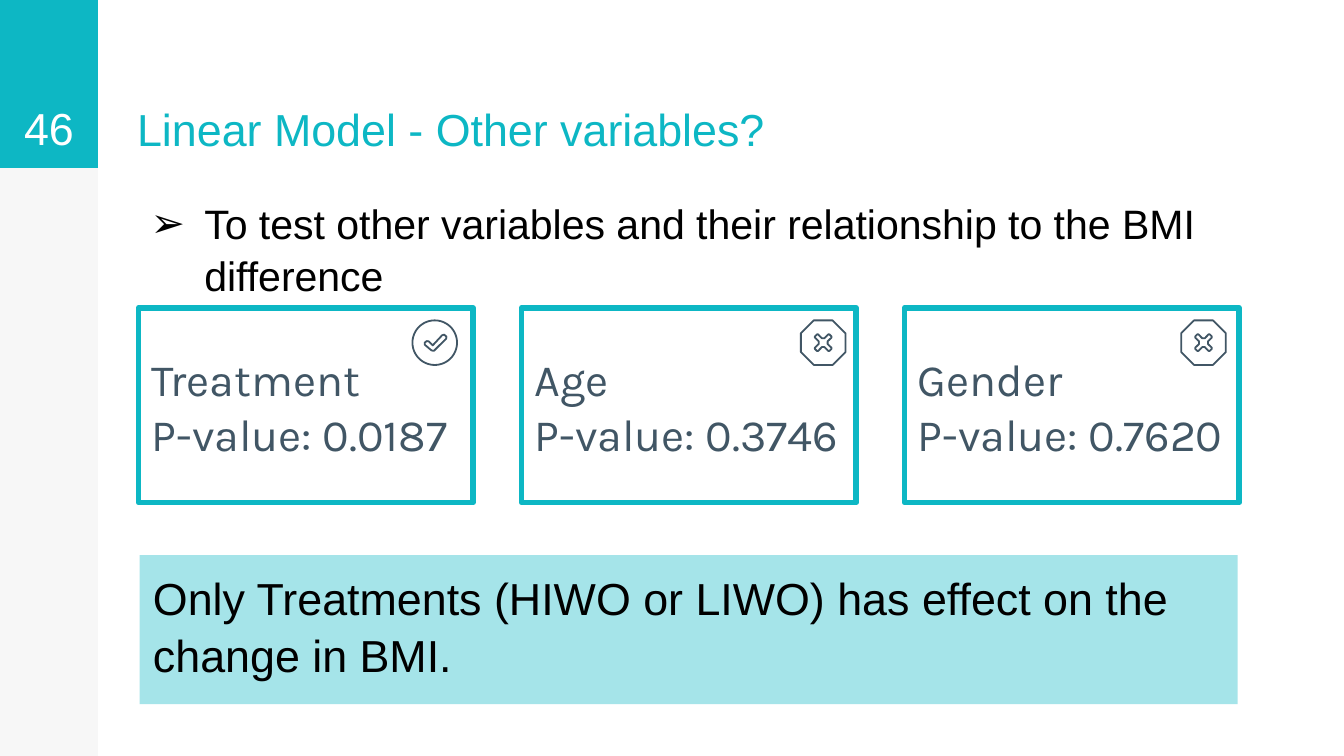
from dataclasses import dataclass
from math import cos, pi, sin

from lxml.etree import SubElement
from pptx import Presentation
from pptx.dml.color import RGBColor
from pptx.enum.shapes import MSO_SHAPE as Preset
from pptx.enum.text import MSO_ANCHOR as Anchor, MSO_AUTO_SIZE as AutoSize, PP_ALIGN as Align
from pptx.oxml.ns import qn
from pptx.util import Emu, Inches, Pt

CELL = Inches(0.1)  # the slide is a grid of 100 columns by 56.25 rows
COLUMNS, ROWS = 100, 56.25
Points = list[tuple[float, float]]


@dataclass(frozen=True)
class Theme:
    accent: str = "0DB7C4"
    slate: str = "415665"
    black: str = "000000"
    white: str = "FFFFFF"
    font: str = "Arial"
    card_font: str = "Karla"
    heading: int = 24
    bullet: int = 22
    card_line: float = 3
    icon_line: float = 0.96


@dataclass(frozen=True)
class Box:
    column: float
    row: float
    columns: float
    rows: float

    def lengths(self) -> list[Emu]:
        return [cells(n) for n in (self.column, self.row, self.columns, self.rows)]


@dataclass(frozen=True)
class Variable:
    name: str
    p_value: str
    significant: bool
    icon_column: float


THEME = Theme()
VARIABLES = [
    Variable("Treatment", "0.0187", True, 32.35),
    Variable("Age", "0.3746", False, 61.25),
    Variable("Gender", "0.7620", False, 89.55),
]
FIRST_CARD = Box(10.3, 22.9, 24.9, 14.5)
CARD_STEP = 28.5
ICON_ROW, ICON_RADIUS = 25.5, 1.66

# Icon outlines, in cells from the icon's centre
CIRCLE: Points = [(ICON_RADIUS * cos(i * pi / 36), ICON_RADIUS * sin(i * pi / 36))
                  for i in range(72)]
TICK: Points = [(-0.15, 0.6), (-0.05, 0.6), (0.85, -0.3), (0.87, -0.45), (0.7, -0.6),
                (0.55, -0.55), (-0.15, 0.2), (-0.45, -0.1), (-0.6, -0.12),
                (-0.75, 0), (-0.75, 0.15), (-0.25, 0.57)]


def quarter_turns(corner: Points) -> Points:
    """Repeat a run of points at each quarter turn about the centre."""
    outline: Points = []
    for _ in range(4):
        outline += corner
        corner = [(-y, x) for x, y in corner]
    return outline


OCTAGON = quarter_turns([(1.66, 0.7), (0.7, 1.66)])
CROSS = quarter_turns([(0.33, 0.1), (0.62, 0.38), (0.62, 0.46),
                       (0.46, 0.62), (0.38, 0.62), (0.1, 0.33)])


def cells(count: float) -> Emu:
    return Emu(round(count * CELL))


def rgb(color: str) -> RGBColor:
    return RGBColor.from_string(color)


def place(shape, box: Box) -> None:
    shape.left, shape.top, shape.width, shape.height = box.lengths()


def write(shape, *lines: str, size: float = THEME.heading, color: str = THEME.black,
          font: str = THEME.font, anchor=Anchor.TOP, align=Align.LEFT,
          spacing: float = 1.0, before: float = 0) -> None:
    frame = shape.text_frame
    frame.word_wrap = True
    frame.auto_size = AutoSize.NONE
    frame.vertical_anchor = anchor
    frame.margin_left = frame.margin_right = CELL
    frame.margin_top = frame.margin_bottom = CELL
    frame.text = "\n".join(lines)
    for paragraph in frame.paragraphs:
        paragraph.alignment = align
        paragraph.line_spacing = spacing
        paragraph.space_before = Pt(before)
        for run in paragraph.runs:
            run.font.size, run.font.name = Pt(size), font
            run.font.color.rgb = rgb(color)


def add_bullet(paragraph, mark: str, color: str, indent: float, hang: float) -> None:
    properties = paragraph._p.get_or_add_pPr()
    properties.set("marL", str(cells(indent)))
    properties.set("indent", str(-cells(hang)))
    bullet_color = SubElement(properties, qn("a:buClr"))
    SubElement(bullet_color, qn("a:srgbClr"), val=color)
    SubElement(properties, qn("a:buFont"), typeface=THEME.font)
    SubElement(properties, qn("a:buChar"), char=mark)


def add_panel(slide, box: Box, fill: str | None = None, opacity: int = 100,
              line: str | None = None):
    panel = slide.shapes.add_shape(Preset.RECTANGLE, *box.lengths())
    panel.shadow.inherit = False
    if fill:
        panel.fill.solid()
        panel.fill.fore_color.rgb = rgb(fill)
        if opacity < 100:
            tint = panel.fill._xPr.find(".//" + qn("a:srgbClr"))
            SubElement(tint, qn("a:alpha"), val=str(opacity * 1000))
    else:
        panel.fill.background()
    if line:
        panel.line.color.rgb = rgb(line)
        panel.line.width = Pt(THEME.card_line)
    else:
        panel.line.fill.background()
    return panel


def add_icon(slide, column: float, row: float, *outlines: Points) -> None:
    first, *others = [[(cells(column + x), cells(row + y)) for x, y in outline]
                      for outline in outlines]
    builder = slide.shapes.build_freeform(*first[0])
    builder.add_line_segments(first[1:], close=True)
    for outline in others:
        builder.move_to(*outline[0])
        builder.add_line_segments(outline[1:], close=True)
    icon = builder.convert_to_shape()
    icon.shadow.inherit = False
    icon.fill.background()
    icon.line.color.rgb = rgb(THEME.slate)
    icon.line.width = Pt(THEME.icon_line)


def add_card(slide, index: int, variable: Variable) -> None:
    box = Box(FIRST_CARD.column + index * CARD_STEP, FIRST_CARD.row,
              FIRST_CARD.columns, FIRST_CARD.rows)
    card = add_panel(slide, box, line=THEME.accent)
    write(card, variable.name, f"P-value: {variable.p_value}", color=THEME.slate,
          font=THEME.card_font, anchor=Anchor.MIDDLE, spacing=1.03)
    outlines = (CIRCLE, TICK) if variable.significant else (OCTAGON, CROSS)
    add_icon(slide, variable.icon_column, ICON_ROW, *outlines)


def main() -> None:
    deck = Presentation()
    deck.slide_width, deck.slide_height = cells(COLUMNS), cells(ROWS)
    slide = deck.slides.add_slide(deck.slide_layouts[1])
    title, body = slide.placeholders

    # Side rail with the page number
    add_panel(slide, Box(0, 0, 7.3, ROWS), THEME.black, opacity=3)
    page_number = add_panel(slide, Box(0, 0, 7.3, 12.5), THEME.accent)
    write(page_number, "46", color=THEME.white, anchor=Anchor.BOTTOM, align=Align.CENTER)

    # Title and question
    place(title, Box(9.2, 0.1, 51.1, 12.5))
    write(title, "Linear Model - Other variables?", color=THEME.accent, anchor=Anchor.BOTTOM)
    place(body, Box(9.2, 13.6, 90.8, 6.6))
    write(body, "To test other variables and their relationship to the BMI difference",
          size=THEME.bullet, spacing=1.05, before=6)
    add_bullet(body.text_frame.paragraphs[0], "➢", THEME.black, indent=5, hang=4)

    # One card for each variable
    for index, variable in enumerate(VARIABLES):
        add_card(slide, index, variable)

    # Conclusion
    conclusion = add_panel(slide, Box(10.4, 41.3, 81.7, 11.1), THEME.accent, opacity=37)
    write(conclusion, "Only Treatments (HIWO or LIWO) has effect on the change in BMI.",
          spacing=1.05)

    deck.save("out.pptx")


if __name__ == "__main__":
    main()
